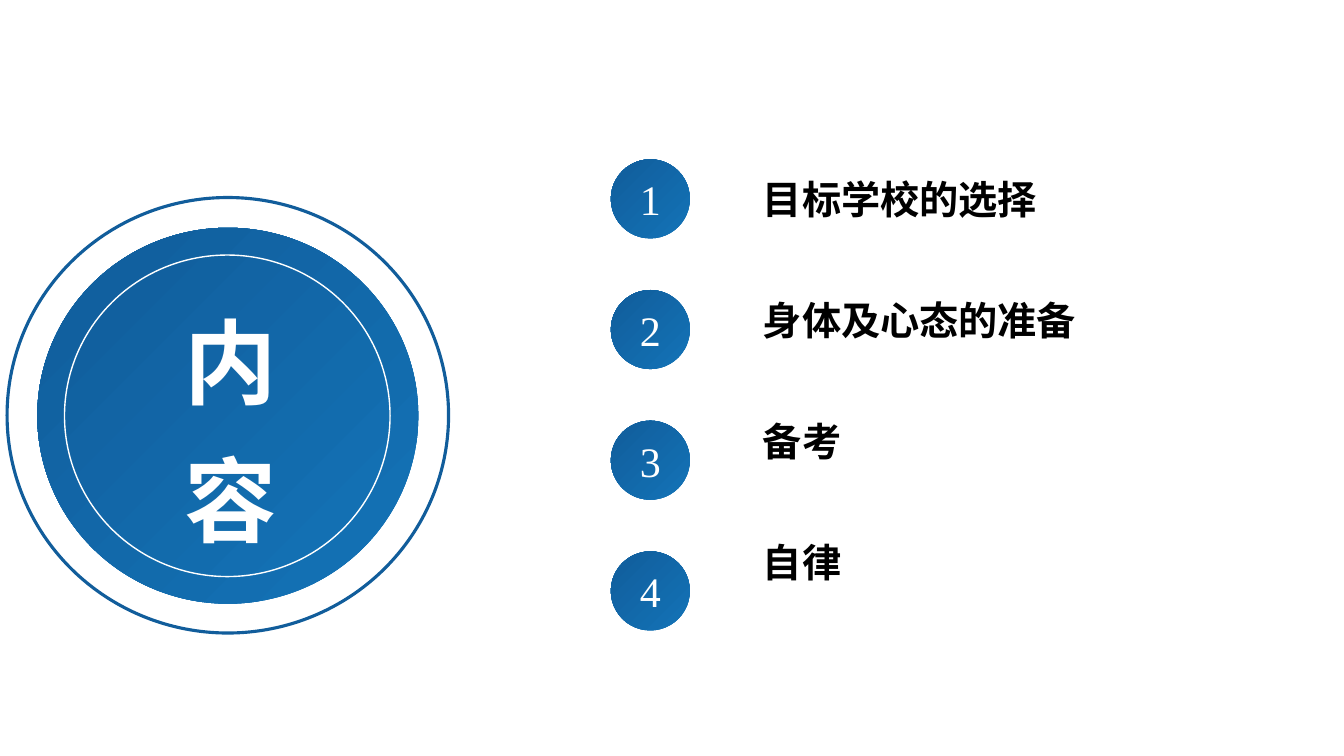
"""Build a contents slide with a round title badge and four numbered topics."""
from dataclasses import dataclass

from pptx import Presentation
from pptx import util as u
from pptx.dml import color
from pptx.enum import shapes, text
from pptx.oxml import ns
from lxml import etree

BRIGHT, DARK, WHITE, BLACK = "1373B7", "115D9B", "FFFFFF", "000000"
LATIN, CHINESE = "Times New Roman", "Noto Sans CJK SC"
TOPICS = ("目标学校的选择", "身体及心态的准备", "备考", "自律")
ROW_PITCH = 93.35
LIST_LINE = 40.55


@dataclass(frozen=True)
class Disc:
    left: float
    top: float
    width: float
    height: float
    filled: bool = True
    line: str | None = None
    weight: float = 1


BADGE = (
    Disc(5.04, 141.12, 315.36, 311.04, filled=False, line=DARK, weight=2.25),
    Disc(26.64, 162.72, 272.16, 268.56),
    Disc(46.08, 182.16, 232.56, 229.68, line=WHITE),
)


def paint(target, value: str) -> None:
    """Give a colour object a hex colour."""
    target.rgb = color.RGBColor.from_string(value)


def place(shape, left: float, top: float, width: float, height: float) -> None:
    """Move and size a shape in points."""
    shape.left, shape.top = u.Pt(left), u.Pt(top)
    shape.width, shape.height = u.Pt(width), u.Pt(height)


def write(para, words: str, *, size: float, font: str, tint: str,
          bold: bool = False, align=text.PP_ALIGN.LEFT, tracking: float = 0) -> None:
    """Add one formatted span to a paragraph."""
    para.alignment = align
    para.line_spacing = 1.0
    span = para.add_run()
    span.text = words
    span.font.size, span.font.bold, span.font.name = u.Pt(size), bold, font
    paint(span.font.color, tint)
    properties = span.font._element
    east_asian = etree.SubElement(properties, ns.qn("a:ea"))
    east_asian.set("typeface", CHINESE)
    if tracking:
        properties.set("spc", str(round(tracking * 100)))


def draw_disc(page, disc: Disc):
    """Draw an ellipse with a diagonal gradient or no fill."""
    shape = page.shapes.add_shape(
        shapes.MSO_SHAPE.OVAL, u.Pt(disc.left), u.Pt(disc.top),
        u.Pt(disc.width), u.Pt(disc.height))
    shape.shadow.inherit = False
    if disc.filled:
        shape.fill.gradient()
        shape.fill.gradient_angle = 135
        for stop, tint in zip(shape.fill.gradient_stops, (BRIGHT, DARK)):
            paint(stop.color, tint)
    else:
        shape.fill.background()
    if disc.line:
        paint(shape.line.color, disc.line)
        shape.line.width = u.Pt(disc.weight)
    else:
        shape.line.fill.background()
    return shape


def draw_title(page) -> None:
    """Set the vertical title in front of the badge."""
    title = page.shapes.title
    place(title, 121.7, 222.5, 81.4, 188)
    frame = title.text_frame
    frame.auto_size = text.MSO_AUTO_SIZE.NONE
    frame.word_wrap = False
    frame.vertical_anchor = text.MSO_ANCHOR.MIDDLE
    frame._txBody.bodyPr.set("vert", "eaVert")
    write(frame.paragraphs[0], "内 容", size=66, font=LATIN, tint=WHITE,
          bold=True, align=text.PP_ALIGN.CENTER, tracking=8.25)
    title.element.getparent().append(title.element)


def draw_topics(page) -> None:
    """Fill the body list and draw its numbered discs."""
    body = page.placeholders[1]
    place(body, 537.8, 121.7, 366.5, 3 * ROW_PITCH + LIST_LINE + 7.2)
    frame = body.text_frame
    frame.auto_size = text.MSO_AUTO_SIZE.NONE
    frame.vertical_anchor = text.MSO_ANCHOR.TOP
    for index, topic in enumerate(TOPICS):
        para = frame.add_paragraph() if index else frame.paragraphs[0]
        write(para, topic, size=28, font=CHINESE, tint=BLACK, bold=True)
        para.space_before = u.Pt(0)
        para.space_after = u.Pt(ROW_PITCH - LIST_LINE)
        properties = para._p.get_or_add_pPr()
        properties.set("marL", "0")
        properties.set("indent", "0")
        etree.SubElement(properties, ns.qn("a:buNone"))

        disc = draw_disc(page, Disc(436.3, 113.8 + index * ROW_PITCH, 56.5, 56.5))
        label = disc.text_frame
        label.margin_left = label.margin_right = u.Pt(0)
        label.vertical_anchor = text.MSO_ANCHOR.MIDDLE
        write(label.paragraphs[0], str(index + 1), size=30, font=LATIN,
              tint=WHITE, align=text.PP_ALIGN.CENTER)


def main() -> None:
    """Assemble and save the deck."""
    deck = Presentation()
    deck.slide_width, deck.slide_height = u.Pt(960), u.Pt(540)
    page = deck.slides.add_slide(deck.slide_layouts[1])
    for disc in BADGE:
        draw_disc(page, disc)
    draw_title(page)
    draw_topics(page)
    deck.save("out.pptx")


if __name__ == "__main__":
    main()
